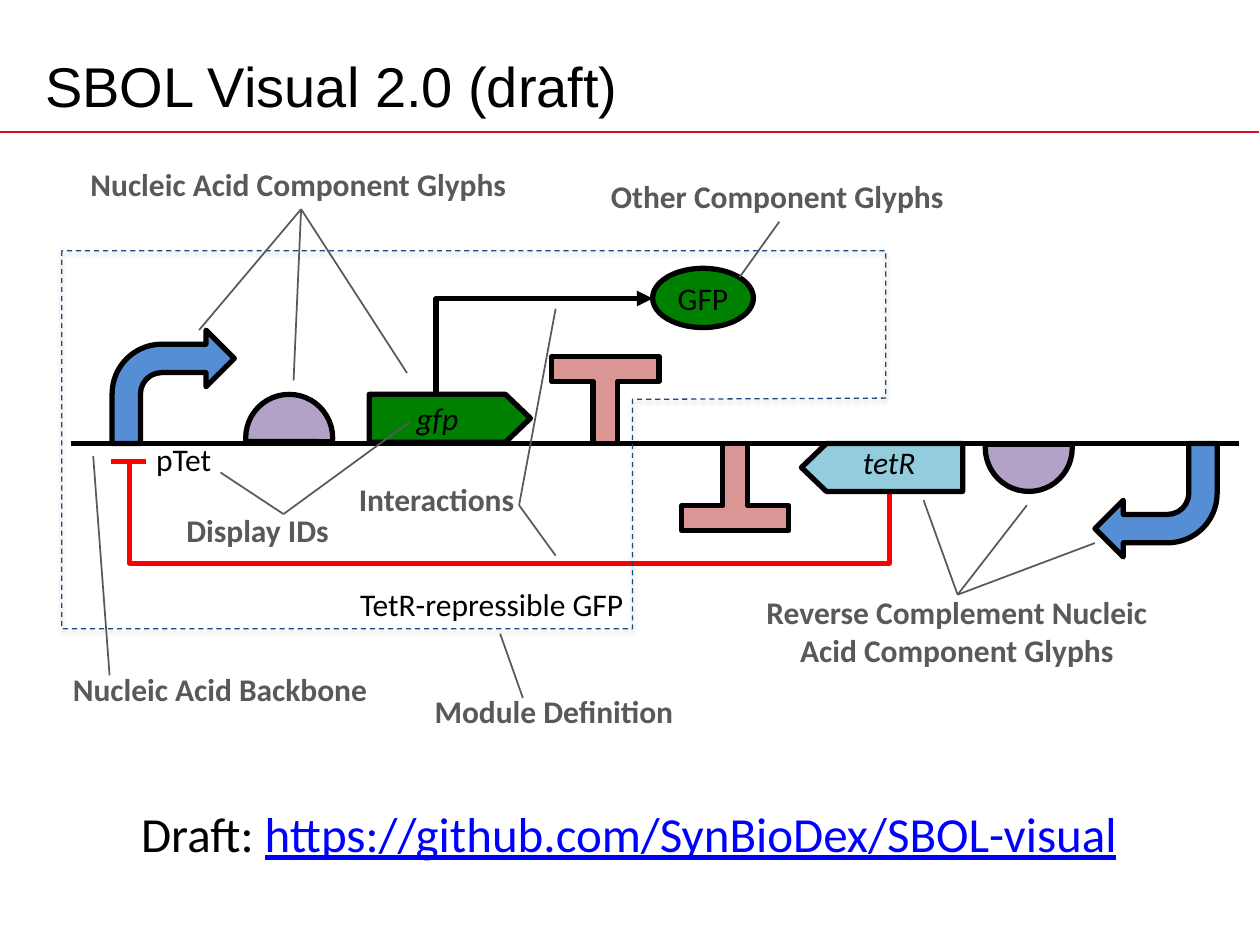
from lxml import etree
from pptx import Presentation
from pptx import util as u
from pptx.dml.color import RGBColor
from pptx.enum import dml, shapes, text
from pptx.oxml import ns

Inches, Pt = u.Inches, u.Pt
KIND = shapes.MSO_SHAPE
LINK = shapes.MSO_CONNECTOR
ALIGN = text.PP_ALIGN

COLORS = {
    "black": "000000", "white": "FFFFFF", "gray": "595959", "rule": "CE1126",
    "red": "FF0000", "green": "008000", "purple": "B3A2C7", "blue": "558ED5",
    "pink": "D99694", "cyan": "93CDDD", "navy": "1F497D", "link": "0000FF",
}


def rgb(name):
    return RGBColor.from_string(COLORS[name])


def child(parent, tag, **attributes):
    return etree.SubElement(parent, ns.qn(tag), attributes)


def style_font(font, size=18, color="black", name="Calibri", bold=False, italic=False):
    font.name, font.size = name, Pt(size)
    font.bold, font.italic = bold, italic
    font.color.rgb = rgb(color)


def style_line(connector, color, width):
    connector.line.color.rgb = rgb(color)
    connector.line.width = Pt(width)
    child(connector._element.spPr, "a:effectLst")


def add_line(page, start, end, color="gray", width=1, kind=LINK.STRAIGHT):
    connector = page.shapes.add_connector(kind, *map(Inches, start + end))
    style_line(connector, color, width)
    return connector


def add_elbow(page, start, end, bend, color, upright=False):
    """Bent connector; upright means that it leaves and arrives vertically."""
    if upright:
        # Turn both ends back by 90 degrees about the centre.
        mid_x, mid_y = (start[0] + end[0]) / 2, (start[1] + end[1]) / 2
        start, end = [(mid_x + y - mid_y, mid_y - x + mid_x) for x, y in (start, end)]
    connector = add_line(page, start, end, color, 3, LINK.ELBOW)
    properties = connector._element.spPr
    if upright:
        properties.find(ns.qn("a:xfrm")).set("rot", "5400000")
    guides = properties.find(ns.qn("a:prstGeom")).find(ns.qn("a:avLst"))
    child(guides, "a:gd", name="adj1", fmla=f"val {round(bend * 100000)}")
    return connector


def add_glyph(page, kind, box, fill, adjustments=(), turned=False, outline=True):
    glyph = page.shapes.add_shape(kind, *map(Inches, box))
    glyph.shadow.inherit = False
    glyph.fill.solid()
    glyph.fill.fore_color.rgb = rgb(fill)
    if outline:
        glyph.line.color.rgb = rgb("black")
        glyph.line.width = Pt(3)
    else:
        glyph.line.fill.background()
    for index, value in enumerate(adjustments):
        glyph.adjustments[index] = value
    if turned:
        glyph.rotation = 180
    return glyph


def write_inside(glyph, words, italic=False, wrap=True):
    frame = glyph.text_frame
    frame.word_wrap = wrap
    frame.vertical_anchor = text.MSO_ANCHOR.MIDDLE
    para = frame.paragraphs[0]
    para.text, para.alignment = words, ALIGN.CENTER
    style_font(para.font, italic=italic)


def add_label(page, lines, box, align=ALIGN.LEFT, wrap=False, grow=True, **font):
    label = page.shapes.add_textbox(*map(Inches, box))
    frame = label.text_frame
    frame.word_wrap = wrap
    if grow:
        frame.auto_size = text.MSO_AUTO_SIZE.SHAPE_TO_FIT_TEXT
    for index, words in enumerate(lines):
        para = frame.add_paragraph() if index else frame.paragraphs[0]
        para.text, para.alignment = words, align
        style_font(para.font, **font)
    return label


def add_module_outline(page):
    corners = [(0.49, 4.99), (5.02, 4.99), (5.02, 3.17), (7.03, 3.16), (7.03, 1.99)]
    builder = page.shapes.build_freeform(Inches(0.49), Inches(1.99))
    builder.add_line_segments([(Inches(x), Inches(y)) for x, y in corners], close=True)
    outline = builder.convert_to_shape()
    outline.fill.background()
    outline.line.color.rgb = rgb("navy")
    outline.line.width = Pt(0.75)
    outline.line.dash_style = dml.MSO_LINE.DASH
    outline.shadow.inherit = False
    effects = outline._element.spPr.find(ns.qn("a:effectLst"))
    shadow = child(effects, "a:outerShdw", blurRad=str(Pt(3.1)), dist=str(Pt(1.8)),
                   dir="5400000", rotWithShape="0")
    tone = child(shadow, "a:srgbClr", val=COLORS["black"])
    child(tone, "a:alpha", val="35000")


def add_glyphs(page):
    gene, site, stop = (1, 0.522), (105.062, 3.015), (0.5, 0.142, 0)
    # Forward strand
    gfp = add_glyph(page, KIND.RIGHT_ARROW, (2.93, 3.13, 1.28, 0.38), "green", gene)
    write_inside(gfp, "gfp", italic=True)
    add_glyph(page, KIND.CHORD, (1.95, 3.13, 0.69, 0.69), "purple", site)
    add_glyph(page, KIND.BENT_ARROW, (0.89, 2.62, 0.97, 0.9), "blue")
    add_glyph(page, KIND.LEFT_RIGHT_UP_ARROW, (4.38, 2.83, 0.85, 0.69), "pink", stop, True)
    # Reverse strand
    add_glyph(page, KIND.RIGHT_ARROW, (6.36, 3.52, 1.28, 0.38), "cyan", gene, True)
    add_glyph(page, KIND.CHORD, (7.82, 3.21, 0.69, 0.69), "purple", site, True)
    add_glyph(page, KIND.BENT_ARROW, (8.69, 3.52, 0.97, 0.9), "blue", (), True)
    add_glyph(page, KIND.LEFT_RIGHT_UP_ARROW, (5.41, 3.52, 0.85, 0.69), "pink", stop)
    # Protein
    protein = add_glyph(page, KIND.OVAL, (5.18, 2.13, 0.8, 0.47), "green")
    write_inside(protein, "GFP", wrap=False)


def add_callouts(page):
    def callout(words, box):
        return add_label(page, [words], box, color="gray", bold=True)

    def leaders(start, ends, label=None):
        for end in ends:
            line = add_line(page, start, end)
            if label is not None:
                line.begin_connect(label, 2)

    components = callout("Nucleic Acid Component Glyphs", (0.62, 1.26, 3.54, 0.4))
    others = callout("Other Component Glyphs", (4.75, 1.36, 2.87, 0.4))
    callout("Nucleic Acid Backbone", (0.48, 5.27, 2.56, 0.4))
    callout("Interactions", (2.75, 3.76, 1.46, 0.4))
    callout("Display IDs", (1.38, 4.01, 1.35, 0.4))
    callout("Module Definition", (3.35, 5.44, 2.12, 0.4))
    add_label(page, ["Reverse Complement Nucleic ", "Acid Component Glyphs"],
              (5.96, 4.66, 3.27, 0.71), ALIGN.CENTER, color="gray", bold=True)

    leaders((2.38, 1.66), [(1.58, 2.62), (2.33, 3.02), (3.23, 2.96)], components)
    leaders((6.19, 1.76), [(5.87, 2.2)], others)
    leaders((0.87, 5.36), [(0.74, 3.62)])
    leaders((4.12, 4.01), [(4.41, 4.41), (4.41, 2.45)])
    leaders((2.25, 4.08), [(1.75, 3.75), (3.25, 3.35)])
    leaders((7.6, 4.72), [(7.33, 3.97), (8.15, 4.01), (8.69, 4.31)])
    leaders((4.15, 5.54), [(3.97, 5.03)])


def add_draft_address(page):
    box = add_label(page, [""], (0.51, 6.33, 9.05, 0.57), ALIGN.CENTER, wrap=True, size=28)
    para = box.text_frame.paragraphs[0]
    for words, color in (("Draft: ", "black"),
                         ("https://github.com/SynBioDex/SBOL-visual", "link"),
                         (" ", "black")):
        span = para.add_run()
        span.text = words
        style_font(span.font, 28, color)
        span.font.underline = color == "link"


def main():
    deck = Presentation()
    deck.slide_width, deck.slide_height = Inches(10), Inches(7.5)
    page = deck.slides.add_slide(deck.slide_layouts[6])

    # Heading
    add_line(page, (0, 1.05), (9.99, 1.05), "rule")
    title = add_label(page, ["SBOL Visual 2.0 (draft)"], (0.26, 0.3, 9, 0.75),
                      wrap=True, grow=False, size=32, name="Arial")
    title.text_frame.vertical_anchor = text.MSO_ANCHOR.MIDDLE

    # Repression, backbone and genetic parts
    add_elbow(page, (7.06, 3.89), (1.03, 3.66), -2.523, "red", upright=True)
    add_line(page, (0.88, 3.66), (1.16, 3.66), "red", 3)
    add_glyph(page, KIND.RECTANGLE, (6.91, 3.65, 0.3, 0.24), "white", outline=False)
    add_line(page, (0.56, 3.52), (9.83, 3.52), "black", 3)
    add_glyphs(page)

    # Production of the protein
    production = add_elbow(page, (3.46, 3.13), (5.18, 2.37), 0, "black")
    child(production.line._get_or_add_ln(), "a:tailEnd", type="triangle")

    # Names of the parts
    add_label(page, ["tetR"], (6.75, 3.47, 0.69, 0.4), italic=True)
    add_label(page, ["pTet"], (1.14, 3.44, 0.64, 0.4))
    add_label(page, ["TetR-repressible GFP"], (2.76, 4.59, 2.34, 0.4))

    add_module_outline(page)
    add_callouts(page)
    add_draft_address(page)
    deck.save("out.pptx")


if __name__ == "__main__":
    main()
